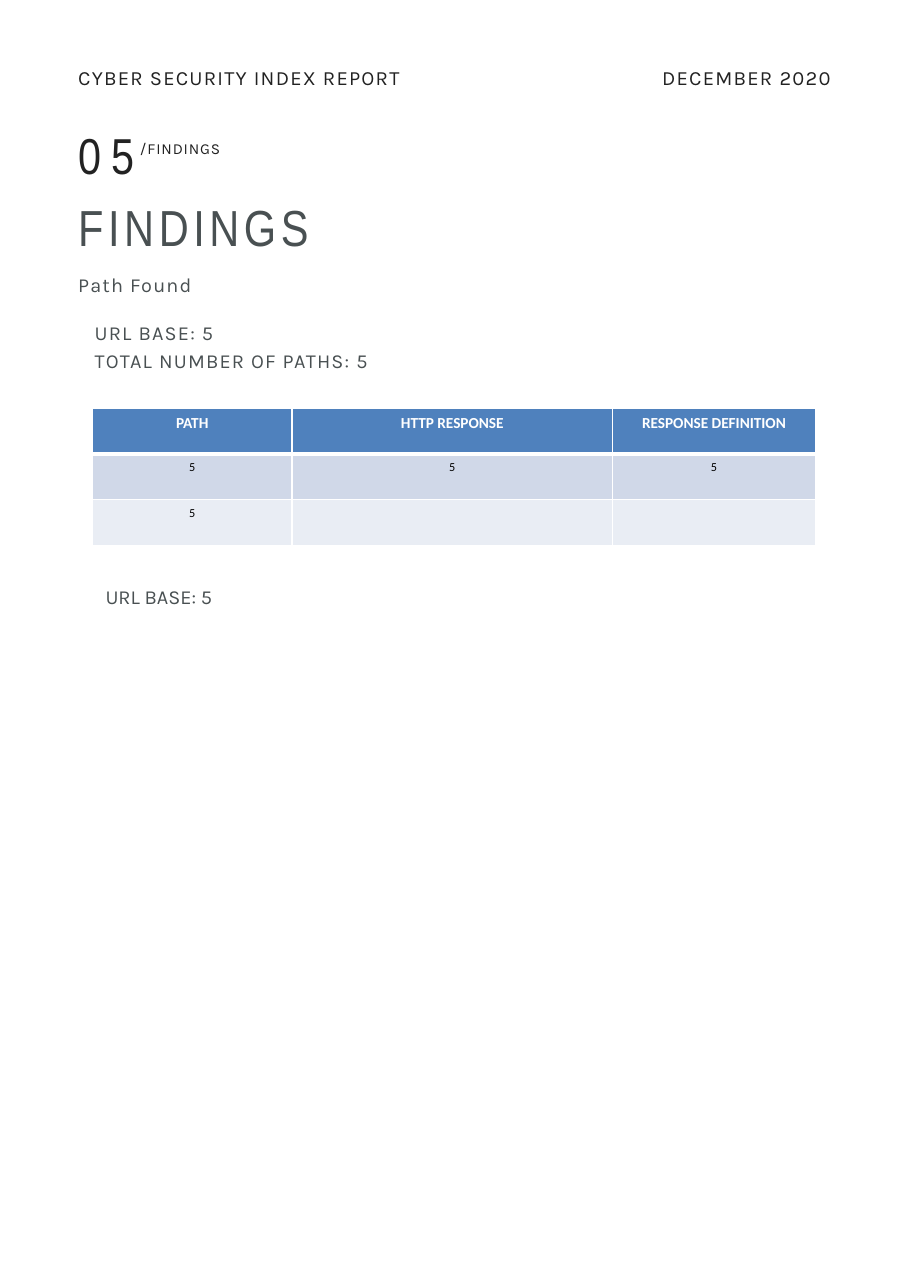
from lxml.etree import SubElement
from pptx import Presentation
from pptx.dml.color import RGBColor
from pptx.enum.text import MSO_AUTO_SIZE, PP_ALIGN
from pptx.oxml.ns import qn
from pptx.util import Inches, Pt

INK, GREY, WHITE = "222222", "495052", "FFFFFF"
HEADS = ["PATH", "HTTP RESPONSE", "RESPONSE DEFINITION"]
ROWS = [HEADS, ["5", "5", "5"], ["5", "", ""]]
FILLS = ["4F81BD", "D0D8E8", "E9EDF4"]
WIDTHS = [1.81, 2.91, 1.84]


def paint(target, color):
    """Set a font or fill colour from a hex string."""
    target.rgb = RGBColor.from_string(color)


def style(para, size, face, color, bold=False, space=0):
    """Format every run of a paragraph."""
    for run in para.runs:
        font = run.font
        font.size, font.name, font.bold = Pt(size), face, bold
        paint(font.color, color)
        if space:
            run._r.get_or_add_rPr().set("spc", str(round(space * 100)))


def add_text(slide, box, text, size, color, face="Karla", space=0.8,
             line=18.5, align=PP_ALIGN.LEFT, inset=False):
    """Add a text box with one paragraph."""
    frame = slide.shapes.add_textbox(*map(Inches, box)).text_frame
    frame.word_wrap = True
    frame.auto_size = MSO_AUTO_SIZE.SHAPE_TO_FIT_TEXT
    if not inset:
        frame.margin_left = frame.margin_right = 0
        frame.margin_top = frame.margin_bottom = 0
    para = frame.paragraphs[0]
    para.text = text
    para.alignment = align
    if line:
        para.line_spacing = Pt(line)
    style(para, size, face, color, space=space)


def add_edge(cell, side, width):
    """Draw one white border of a cell."""
    props = cell._tc.get_or_add_tcPr()
    edge = SubElement(props, qn("a:ln" + side), w=str(Pt(width)))
    fill = SubElement(edge, qn("a:solidFill"))
    SubElement(fill, qn("a:srgbClr"), val=WHITE)


def fill_cell(cell, text, row):
    """Set the borders, fill and text of a cell."""
    head = row == 0
    edges = {"L": 1, "R": 1, "T": 3 if row == 1 else 1, "B": 3 if head else 1}
    for side, width in edges.items():
        add_edge(cell, side, width)
    cell.fill.solid()
    paint(cell.fill.fore_color, FILLS[row])
    para = cell.text_frame.paragraphs[0]
    para.text = text
    para.alignment = PP_ALIGN.CENTER
    style(para, 10 if head else 8, "Calibri", WHITE if head else "000000", head)


def add_paths(slide):
    """Add the table of paths and responses."""
    box = map(Inches, (0.84, 3.71, sum(WIDTHS), 1.24))
    table = slide.shapes.add_table(len(ROWS), len(HEADS), *box).table
    for col, width in zip(table.columns, WIDTHS):
        col.width = Inches(width)
    for row, texts in enumerate(ROWS):
        for col, text in enumerate(texts):
            fill_cell(table.cell(row, col), text, row)


def main():
    """Build the findings page."""
    deck = Presentation()
    deck.slide_width, deck.slide_height = Inches(8.26), Inches(11.69)
    slide = deck.slides.add_slide(deck.slide_layouts[6])
    add_text(slide, (0.71, 1.8, 4.46, 0.56), "FINDINGS", 33.1, GREY,
             "Arial Narrow", 3, 38)
    add_text(slide, (4.91, 0.56, 2.63, 0.24), "DECEMBER 2020", 13.2, INK,
             align=PP_ALIGN.RIGHT)
    add_text(slide, (0.71, 0.56, 2.98, 0.24), "CYBER SECURITY INDEX REPORT",
             13.2, INK)
    add_text(slide, (0.71, 1.03, 2.38, 0.56), "05", 33, INK,
             "Arial Narrow", 6.6, 46.3)
    add_text(slide, (1.27, 1.24, 1.25, 0.18), "/FINDINGS", 10, INK,
             space=0.6, line=14)
    add_paths(slide)
    add_text(slide, (0.71, 2.43, 4.46, 0.25), "Path Found", 13, GREY)
    add_text(slide, (0.86, 2.87, 6.29, 0.51),
             "URL BASE: 5\nTOTAL NUMBER OF PATHS: 5", 13, GREY)
    add_text(slide, (0.86, 5.26, 4.8, 0.32), "URL BASE: 5", 13, GREY,
             space=0, line=None, inset=True)
    deck.save("out.pptx")


if __name__ == "__main__":
    main()
